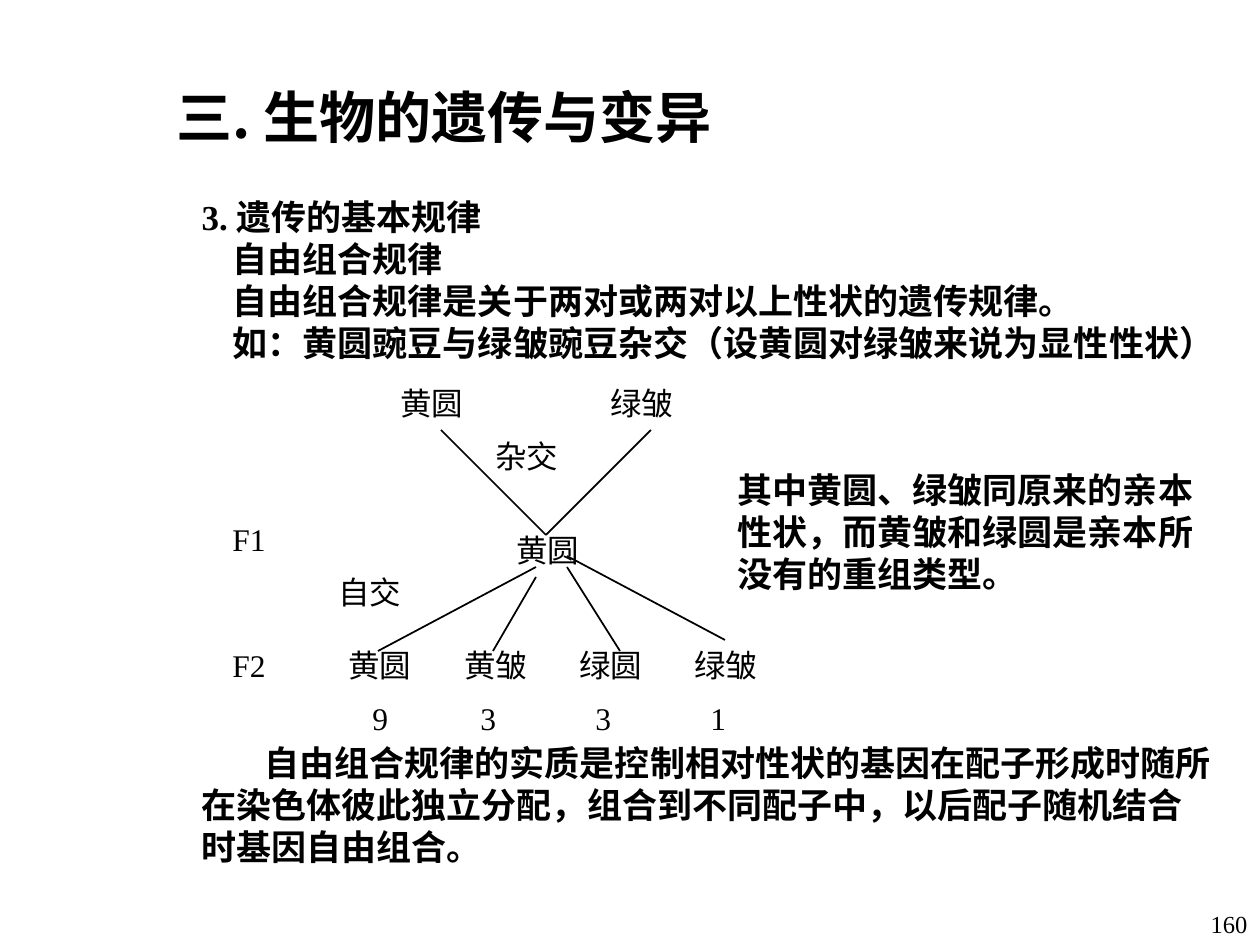
"""Build a slide on the law of independent assortment in heredity."""
from pptx import Presentation
from pptx.dml.color import RGBColor
from pptx.enum.shapes import MSO_CONNECTOR
from pptx.enum.text import MSO_ANCHOR as Anchor, MSO_AUTO_SIZE as AutoSize, PP_ALIGN as Align
from pptx.oxml.ns import qn
from pptx.util import Emu, Pt
from lxml.etree import SubElement

COLOURS = {"ink": "000000", "paper": "FFFFFF"}
SERIF, SANS = "Times New Roman", "Noto Sans CJK SC"
EMU_PER_PX = 914400 / 126


def px(length):
    return Emu(round(length * EMU_PER_PX))


def colour(name):
    return RGBColor.from_string(COLOURS[name])


def write(frame, text, size=18, font=SERIF, bold=False, align=Align.LEFT,
          anchor=Anchor.TOP, grow=True, first_indent=0, next_indent=0):
    frame.word_wrap = True
    frame.auto_size = AutoSize.SHAPE_TO_FIT_TEXT if grow else AutoSize.NONE
    frame.vertical_anchor = anchor
    for index, line in enumerate(text.split("\n")):
        paragraph = frame.paragraphs[0] if index == 0 else frame.add_paragraph()
        properties = paragraph._p.get_or_add_pPr()
        properties.set("marL", "0")
        properties.set("indent", str(px(next_indent if index else first_indent)))
        SubElement(properties, qn("a:buNone"))
        paragraph.alignment = align
        paragraph.space_before = Pt(0)
        run = paragraph.add_run()
        run.text = line
        run.font.size, run.font.bold, run.font.name = Pt(size), bold, font
        run.font.color.rgb = colour("ink")
        SubElement(run._r.get_or_add_rPr(), qn("a:ea")).set("typeface", SANS)


class HeredityDeck:
    def __init__(self):
        self.presentation = Presentation()
        self.presentation.slide_width, self.presentation.slide_height = px(1260), px(945)
        self.slide = self.presentation.slides.add_slide(self.presentation.slide_layouts[1])
        background = self.slide.background.fill
        background.solid()
        background.fore_color.rgb = colour("paper")

    def placeholder(self, index, box, text, **style):
        shape = self.slide.placeholders[index]
        shape.left, shape.top, shape.width, shape.height = map(px, box)
        write(shape.text_frame, text, **style)

    def text(self, box, text, **style):
        shape = self.slide.shapes.add_textbox(*map(px, box))
        write(shape.text_frame, text, **style)

    def label(self, left, top, text, **style):
        self.text((left, top, 105, 50), text, **style)

    def line(self, start, end):
        connector = self.slide.shapes.add_connector(
            MSO_CONNECTOR.STRAIGHT, *map(px, start + end))
        connector.line.color.rgb = colour("ink")
        connector.line.width = Pt(1)
        SubElement(connector._element.spPr, qn("a:effectLst"))


def main():
    deck = HeredityDeck()
    deck.placeholder(0, (164, 76, 703, 81), "三. 生物的遗传与变异",
                     size=32, font=SANS, bold=True, align=Align.JUSTIFY)
    deck.placeholder(1, (189, 189, 1040, 181),
                     "3. 遗传的基本规律\n自由组合规律\n"
                     "自由组合规律是关于两对或两对以上性状的遗传规律。\n"
                     "如：黄圆豌豆与绿皱豌豆杂交（设黄圆对绿皱来说为显性性状）",
                     size=20, bold=True, next_indent=31)

    for left, top, text in [(388, 378, "黄圆"), (598, 378, "绿皱"), (483, 431, "杂交"),
                            (504, 525, "黄圆"), (220, 514, "F1"),
                            (326, 567, "自交"), (220, 640, "F2")]:
        deck.label(left, top, text)
    offspring = [("黄圆", "9", 24), ("黄皱", "3", 16), ("绿圆", "3", 16), ("绿皱", "1", 16)]
    for column, (trait, ratio, indent) in enumerate(offspring):
        left = 336 + round(column * 115.5)
        deck.label(left, 640, trait)
        deck.label(left, 693, ratio, first_indent=indent)

    for start, end in [((441, 430), (546, 535)), ((651, 430), (546, 535)),
                       ((536, 567), (378, 651)), ((536, 577), (493, 651)),
                       ((567, 567), (620, 651)), ((567, 556), (725, 640))]:
        deck.line(start, end)

    deck.text((725, 462, 483, 139),
              "其中黄圆、绿皱同原来的亲本性状，而黄皱和绿圆是亲本所没有的重组类型。",
              size=20, bold=True)
    deck.text((189, 735, 1040, 139),
              "自由组合规律的实质是控制相对性状的基因在配子形成时随所在染色体彼此独立分配，"
              "组合到不同配子中，以后配子随机结合时基因自由组合。",
              size=20, bold=True, first_indent=63)
    deck.text((1197, 882, 63, 63), "160", size=14, align=Align.RIGHT,
              anchor=Anchor.BOTTOM, grow=False)
    deck.presentation.save("out.pptx")


if __name__ == "__main__":
    main()
